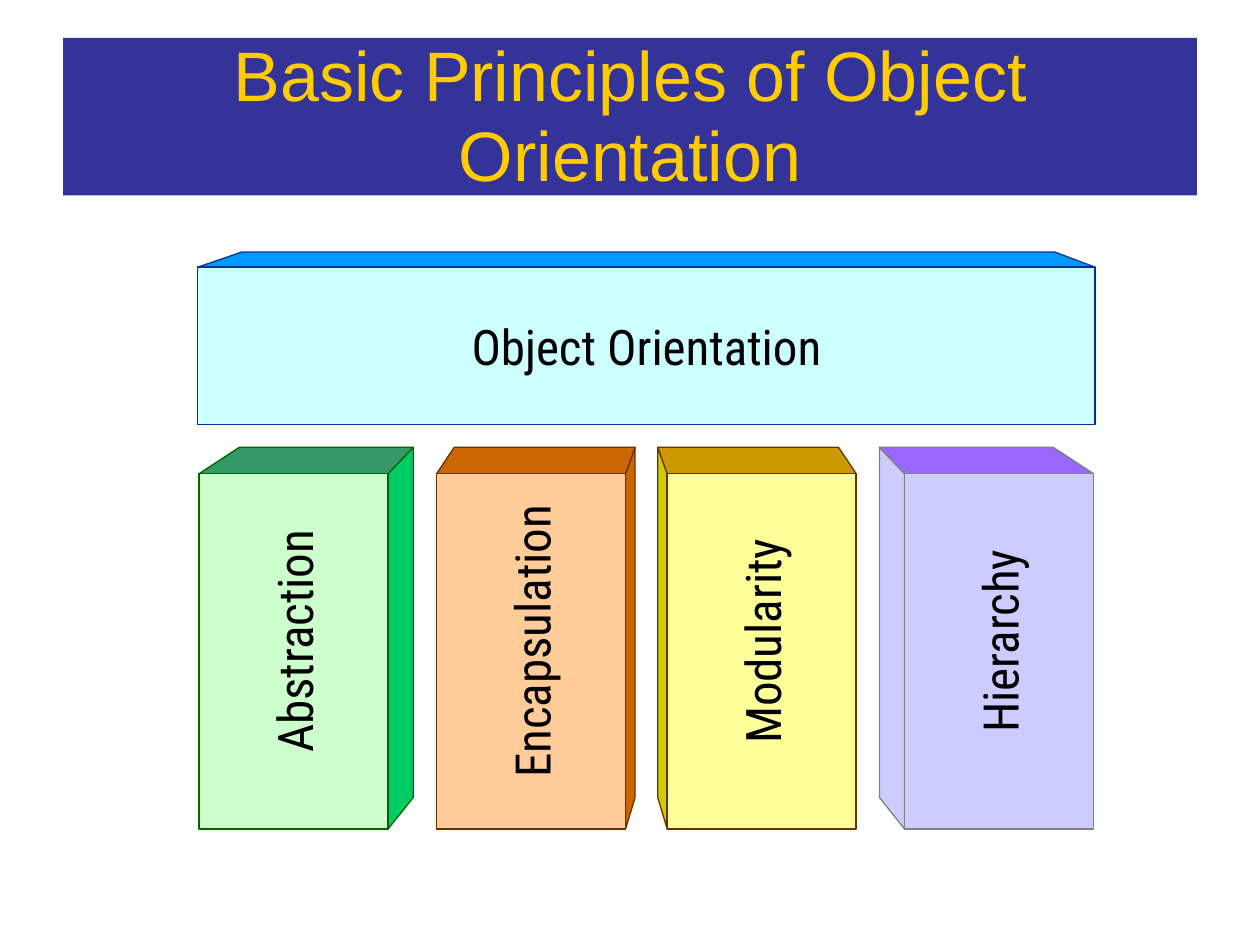
from dataclasses import dataclass

from pptx import Presentation
from pptx.dml.color import RGBColor
from pptx.enum.shapes import MSO_SHAPE
from pptx.enum.text import MSO_ANCHOR, MSO_AUTO_SIZE, PP_ALIGN
from pptx.util import Inches, Pt


@dataclass(frozen=True)
class Theme:
    """Colours, fonts and type sizes of the slide."""
    banner: str = "333399"
    title: str = "FFCC00"
    text: str = "000000"
    title_font: str = "Arial"
    label_font: str = "Roboto Condensed"
    title_size: float = 40
    label_size: float = 28
    line_width: float = 0.75
    # front, top, side, edge
    beam: tuple = ("CCFFFF", "0099FF", None, "003399")
    green: tuple = ("CCFFCC", "339966", "00CC66", "006600")
    orange: tuple = ("FFCC99", "CC6600", "CC6600", "663300")
    yellow: tuple = ("FFFF99", "CC9900", "CCCC00", "663300")
    violet: tuple = ("CCCCFF", "9966FF", "CCCCFF", "808080")


theme = Theme()
prs = Presentation()
prs.slide_width, prs.slide_height = Inches(10), Inches(7.5)
COL, ROW = prs.slide_width / 100, prs.slide_height / 75


def add_face(group, points, fill, edge):
    """Add one outlined face; four points make a polygon, two a rectangle."""
    pts = [(round(x * COL), round(y * ROW)) for x, y in points]
    if len(pts) == 2:
        (x1, y1), (x2, y2) = pts
        sp = group.shapes.add_shape(MSO_SHAPE.RECTANGLE, x1, y1, x2 - x1, y2 - y1)
    else:
        builder = group.shapes.build_freeform(*pts[0], scale=1.0)
        builder.add_line_segments(pts[1:], close=True)
        sp = builder.convert_to_shape()
    sp.shadow.inherit = False
    sp.fill.solid()
    sp.fill.fore_color.rgb = RGBColor.from_string(fill)
    sp.line.color.rgb = RGBColor.from_string(edge)
    sp.line.width = Pt(theme.line_width)
    return sp


def add_label(sp, text, vertical=False):
    """Centre a label on a front face, reading upwards if vertical."""
    tf = sp.text_frame
    tf.margin_left = tf.margin_right = tf.margin_top = tf.margin_bottom = 0
    tf.word_wrap = True
    tf.vertical_anchor = MSO_ANCHOR.MIDDLE
    p = tf.paragraphs[0]
    p.text = text
    p.alignment = PP_ALIGN.CENTER
    p.font.name, p.font.size = theme.label_font, Pt(theme.label_size)
    p.font.color.rgb = RGBColor.from_string(theme.text)
    if vertical:
        sp.element.txBody.bodyPr.set("vert", "vert270")
        p._p.get_or_add_pPr().set("marL", str(round(1.6 * ROW)))


s = prs.slides.add_slide(prs.slide_layouts[5])

# Title banner
title = s.shapes.title
title.left, title.top = round(5 * COL), round(3 * ROW)
title.width, title.height = round(90 * COL), round(12.5 * ROW)
title.fill.solid()
title.fill.fore_color.rgb = RGBColor.from_string(theme.banner)
tf = title.text_frame
tf.text = "Basic Principles of Object\nOrientation"
tf.margin_left = tf.margin_right = tf.margin_top = tf.margin_bottom = 0
tf.auto_size = MSO_AUTO_SIZE.NONE
tf.vertical_anchor = MSO_ANCHOR.TOP
for p, spacing in zip(tf.paragraphs, (44.4, 45.6)):
    p.alignment = PP_ALIGN.CENTER
    p.line_spacing = Pt(spacing)
    p.space_before = Pt(0)
    p.font.name, p.font.size = theme.title_font, Pt(theme.title_size)
    p.font.color.rgb = RGBColor.from_string(theme.title)

# Beam across the pillars
front, top, _, edge = theme.beam
beam = s.shapes.add_group_shape()
add_face(beam, [(15.7, 21.2), (19.2, 20), (83.7, 20), (86.9, 21.2)], top, edge)
add_label(add_face(beam, [(15.7, 21.2), (86.9, 33.7)], front, edge), "Object Orientation")

# Pillars: name, left column, depth of the side, inset of the far corner;
# a negative depth turns the side to the left
BACK, TOP, BACK_FOOT, FOOT, WIDTH = 35.5, 37.6, 63.3, 65.8, 15
PILLARS = [
    ("Abstraction", 15.8, 2, 3.2, theme.green),
    ("Encapsulation", 34.65, 0.75, 1.4, theme.orange),
    ("Modularity", 52.95, -0.75, -1.4, theme.yellow),
    ("Hierarchy", 71.8, -2, -3.2, theme.violet),
]
for name, left, depth, inset, (front, top, side, edge) in PILLARS:
    right = left + WIDTH
    near, far = (right, left) if depth > 0 else (left, right)
    group = s.shapes.add_group_shape()
    add_face(group, [(near + depth, BACK), (near, TOP), (near, FOOT),
                     (near + depth, BACK_FOOT)], side, edge)
    add_face(group, [(near + depth, BACK), (far + inset, BACK),
                     (far, TOP), (near, TOP)], top, edge)
    add_label(add_face(group, [(left, TOP), (right, FOOT)], front, edge), name, vertical=True)

prs.save("out.pptx")
